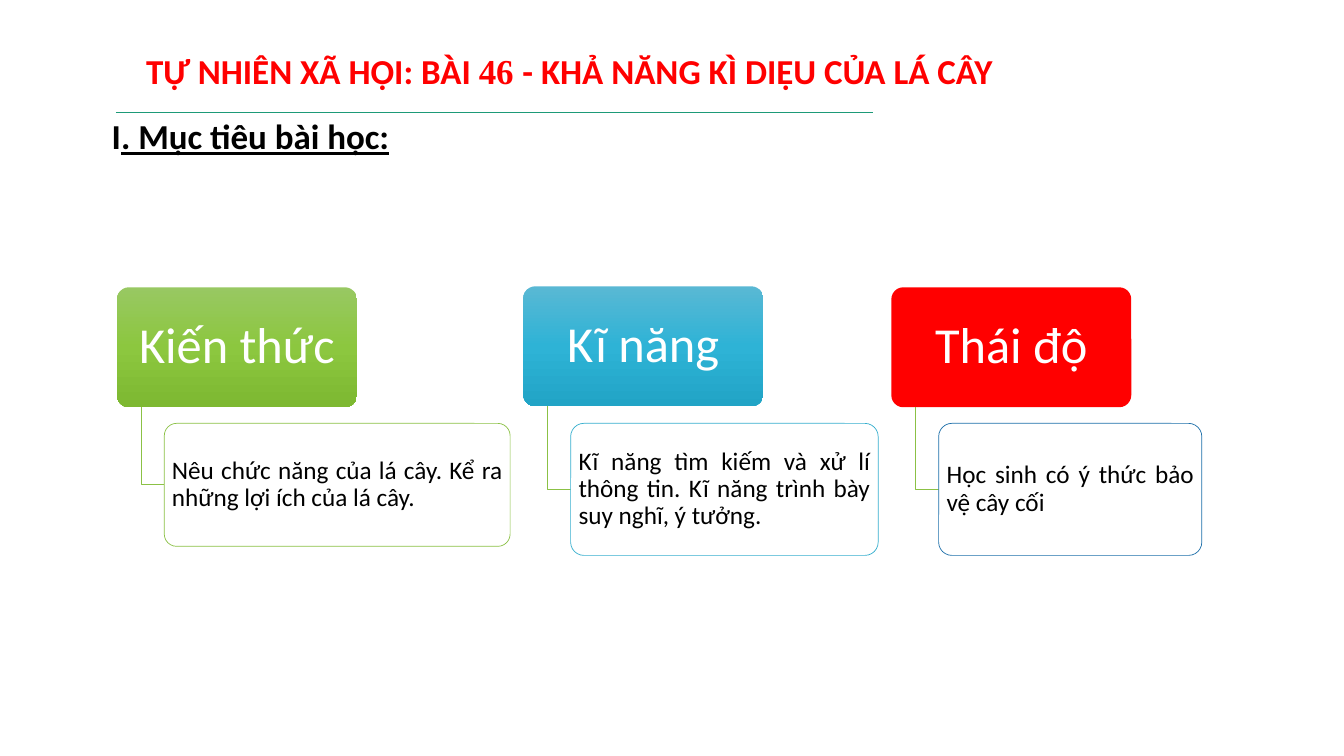
from copy import deepcopy
from dataclasses import dataclass
from lxml.etree import SubElement
from pptx import Presentation
from pptx.dml.color import RGBColor
from pptx.enum.shapes import MSO_CONNECTOR, MSO_SHAPE
from pptx.enum.text import MSO_ANCHOR, PP_ALIGN
from pptx.oxml.ns import qn
from pptx.util import Pt

PX = 9144


@dataclass(frozen=True)
class Theme:
    font: str = "Calibri"
    serif: str = "Times New Roman"
    red: str = "FF0000"
    black: str = "000000"
    white: str = "FFFFFF"
    rule: str = "1D9A78"
    elbow: str = "8BC145"
    green: tuple = ("98C862", "8CC73F", "7DB831")
    blue: tuple = ("59B8D4", "2EB3D6", "21A4C6")
    edges: tuple = ("8BC145", "36AFCE", "1D6FA9")
    title: int = 25
    head: int = 36
    body: int = 18
    line: float = 0.5


THEME = Theme()


def rgb(code):
    return RGBColor.from_string(code)


def scale(*sizes):
    return [size * PX for size in sizes]


def style(run, size, color, bold=False, font=THEME.font):
    run.font.name = font
    run.font.size = Pt(size)
    run.font.bold = bold
    run.font.color.rgb = rgb(color)


def stroke(line, color):
    line.color.rgb = rgb(color)
    line.width = Pt(THEME.line)


def heading(slide, box, parts, color):
    frame = slide.shapes.add_textbox(*scale(*box)).text_frame
    frame.word_wrap = True
    for text, font, under in parts:
        run = frame.paragraphs[0].add_run()
        run.text = text
        style(run, THEME.title, color, True, font)
        run.font.underline = under


def rule(slide, left, top, width):
    ends = scale(left, top, left + width, top)
    line = slide.shapes.add_connector(MSO_CONNECTOR.STRAIGHT, *ends)
    stroke(line.line, THEME.rule)
    SubElement(line._element.spPr, qn("a:effectLst"))


def shade(shape, colors):
    shape.fill.gradient()
    shape.fill.gradient_angle = 270
    stops = shape._element.spPr.find(".//" + qn("a:gsLst"))
    stops.append(deepcopy(stops[-1]))
    for stop, color, place in zip(shape.fill.gradient_stops, colors, (0, 0.5, 1)):
        stop.color.rgb = rgb(color)
        stop.position = place


def card(slide, box, text, size, color, align, pad):
    shape = slide.shapes.add_shape(MSO_SHAPE.ROUNDED_RECTANGLE, *scale(*box))
    shape.adjustments[0] = 0.1
    shape.shadow.inherit = False
    frame = shape.text_frame
    frame.word_wrap = True
    frame.vertical_anchor = MSO_ANCHOR.MIDDLE
    frame.margin_left = frame.margin_right = pad[0] * PX
    frame.margin_top = frame.margin_bottom = pad[1] * PX
    frame.text = text
    para = frame.paragraphs[0]
    para.alignment = align
    para.line_spacing = 0.9
    style(para.runs[0], size, color)
    return shape


def elbow(slide, left, top, width, height):
    path = slide.shapes.build_freeform(left, top, scale=PX)
    path.add_line_segments(
        [(left, top + height), (left + width, top + height)], close=False)
    shape = path.convert_to_shape()
    shape.shadow.inherit = False
    shape.fill.background()
    stroke(shape.line, THEME.elbow)


def column(slide, box, drop, name, text, fill, edge):
    left, top, width, height = box
    wide, tall, inset = 238, 119, 47
    head = card(slide, (left, top, wide, tall), name,
                THEME.head, THEME.white, PP_ALIGN.CENTER, (7, 5))
    head.line.fill.background()
    if isinstance(fill, tuple):
        shade(head, fill)
    else:
        head.fill.solid()
        head.fill.fore_color.rgb = rgb(fill)
    base = top + tall
    deep = height - drop
    elbow(slide, left + 24, base, inset - 24, top + drop + deep // 2 - base)
    body = card(slide, (left + inset, top + drop, width - inset, deep), text,
                THEME.body, THEME.black, PP_ALIGN.JUSTIFY, (4, 3))
    body.fill.solid()
    body.fill.fore_color.rgb = rgb(THEME.white)
    stroke(body.line, edge)


def goals(slide, left, base):
    gap = 13
    cols = [
        (285, 390, 122, "Kiến thức",
         "Nêu chức năng của lá cây. Kể ra những lợi ích của lá cây.", THEME.green),
        (284, 352, 131, "Kĩ năng",
         "Kĩ năng tìm kiếm và xử lí thông tin. Kĩ năng trình bày suy nghĩ, ý tưởng.",
         THEME.blue),
        (285, 308, 131, "Thái độ", "Học sinh có ý thức bảo vệ cây cối", THEME.red),
    ]
    for (top, width, deep, name, text, fill), edge in zip(cols, THEME.edges):
        drop = base - top
        column(slide, (left, top, width, drop + deep), drop, name, text, fill, edge)
        left += width + gap


def main():
    deck = Presentation()
    deck.slide_width, deck.slide_height = scale(1333, 750)
    slide = deck.slides.add_slide(deck.slide_layouts[6])
    heading(slide, (135, 44, 1139, 94), [
        ("TỰ NHIÊN XÃ HỘI: BÀI ", THEME.font, False),
        ("46 ", THEME.serif, False),
        ("- KHẢ NĂNG KÌ DIỆU CỦA LÁ CÂY", THEME.font, False),
    ], THEME.red)
    heading(slide, (101, 109, 1160, 52), [
        ("I", THEME.font, False),
        (". Mục tiêu bài học:", THEME.font, True),
    ], THEME.black)
    rule(slide, 115, 111, 751)
    goals(slide, 116, 420)
    deck.save("out.pptx")


if __name__ == "__main__":
    main()
